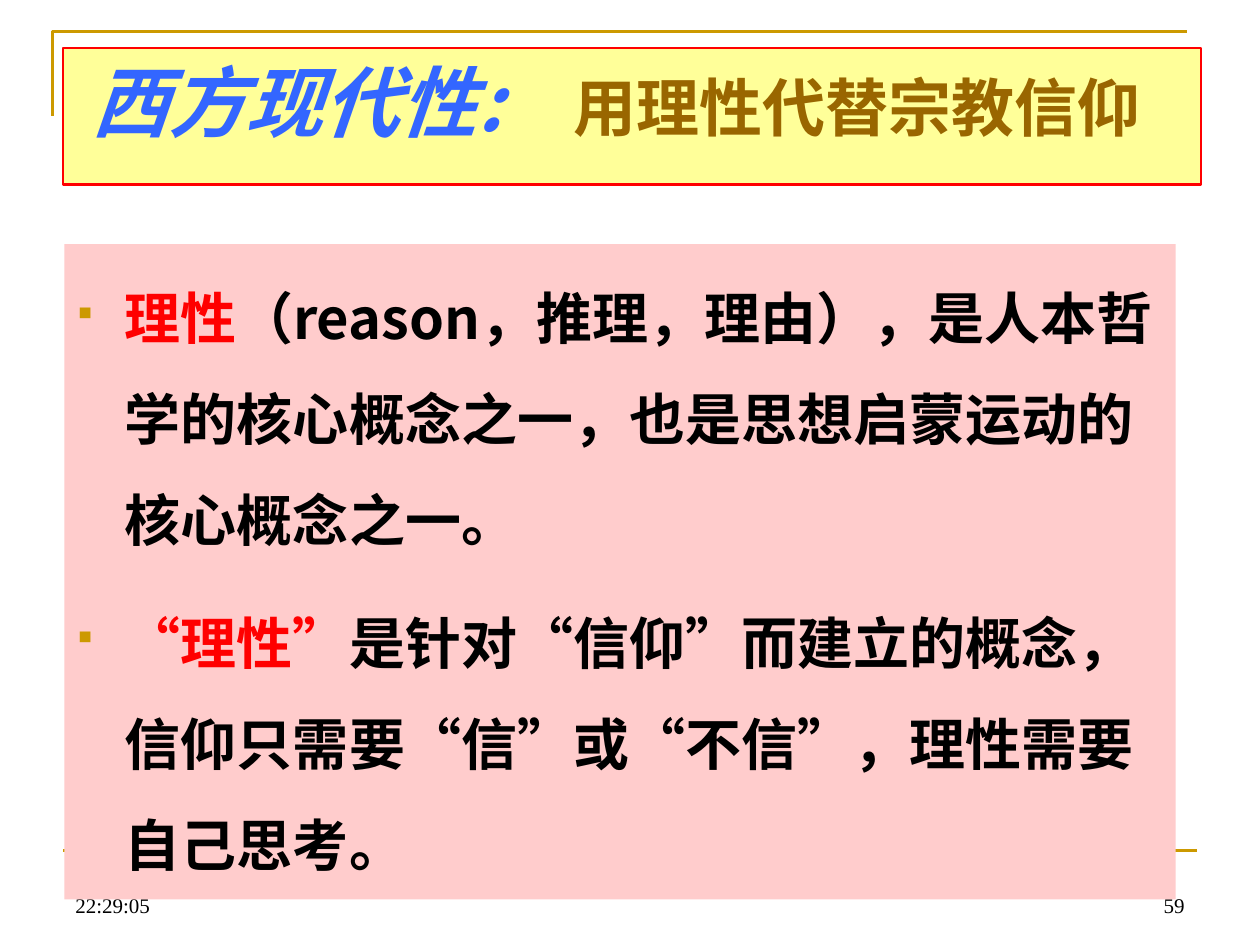
from dataclasses import dataclass
from typing import Optional

from lxml import etree
from pptx import Presentation
from pptx.dml.color import RGBColor
from pptx.enum import shapes, text
from pptx.oxml import ns
from pptx.util import Cm, Pt


@dataclass(frozen=True)
class Theme:
    gold: str = "CC9900"
    brown: str = "996600"
    blue: str = "3366FF"
    red: str = "FF0000"
    black: str = "000000"
    yellow: str = "FFFF99"
    pink: str = "FFCCCC"
    sans: str = "Noto Sans CJK SC"
    serif: str = "Times New Roman"
    symbols: str = "Wingdings"
    title: int = 44
    subtitle: int = 36
    body: int = 32
    footer: int = 12
    rule: float = 1.5


@dataclass(frozen=True)
class Box:
    left: float
    top: float
    width: float
    height: float

    def lengths(self) -> tuple:
        return Cm(self.left), Cm(self.top), Cm(self.width), Cm(self.height)


@dataclass(frozen=True)
class Span:
    words: str
    color: str
    size: int
    bold: bool = True
    italic: bool = False
    font: str = Theme.sans


T = Theme()
TITLE_BOX = Box(1.27, 0.97, 22.94, 2.75)
BODY_BOX = Box(1.3, 4.92, 22.4, 13.21)
BULLET_INDENT = 0.97
FOOTER_TOP, FOOTER_WIDTH, FOOTER_HEIGHT = 17.35, 5.92, 1.27

TITLE = [
    Span("西方现代性:\t", T.blue, T.title, italic=True),
    Span("用理性代替宗教信仰", T.brown, T.subtitle),
]
POINTS = [
    [Span("理性", T.red, T.body),
     Span("（reason，推理，理由），是人本哲学的核心概念之一，"
          "也是思想启蒙运动的核心概念之一。", T.black, T.body)],
    [Span("“理性”", T.red, T.body),
     Span("是针对“信仰”而建立的概念，信仰只需要“信”或“不信”，"
          "理性需要自己思考。", T.black, T.body)],
]


def rgb(color: str) -> RGBColor:
    return RGBColor.from_string(color)


def add_child(parent, tag: str, **attrs: str):
    return etree.SubElement(parent, ns.qn(tag), attrs)


def write(p, spans: list[Span]) -> None:
    for span in spans:
        r = p.add_run()
        r.text = span.words
        f = r.font
        f.size, f.bold, f.italic = Pt(span.size), span.bold, span.italic
        f.color.rgb = rgb(span.color)
        f.name = span.font
        rpr = r._r.get_or_add_rPr()
        rpr.set("lang", "zh-CN")
        add_child(rpr, "a:ea", typeface=span.font)


def add_panel(slide, box: Box, fill: str, line: Optional[str] = None):
    sp = slide.shapes.add_shape(shapes.MSO_SHAPE.RECTANGLE, *box.lengths())
    sp.shadow.inherit = False
    sp.fill.solid()
    sp.fill.fore_color.rgb = rgb(fill)
    if line:
        sp.line.color.rgb = rgb(line)
        sp.line.width = Pt(T.rule)
    else:
        sp.line.fill.background()
    tf = sp.text_frame
    tf.word_wrap = True
    tf.vertical_anchor = text.MSO_ANCHOR.TOP
    return tf


def add_frame(slide) -> None:
    """Draw the gold corner and the rule above the footer."""
    fb = slide.shapes.build_freeform(Cm(1.06), Cm(2.33))
    fb.add_line_segments([(Cm(1.06), Cm(0.64)), (Cm(23.92), Cm(0.64))], close=False)
    corner = fb.convert_to_shape()
    corner.shadow.inherit = False
    corner.fill.background()
    rule = slide.shapes.add_connector(
        shapes.MSO_CONNECTOR.STRAIGHT, Cm(1.27), Cm(17.15), Cm(24.13), Cm(17.15))
    for sp in (corner, rule):
        sp.line.color.rgb = rgb(T.gold)
        sp.line.width = Pt(T.rule)
    add_child(rule._element.spPr, "a:effectLst")


def add_footer(slide, left: float, words: str, align) -> None:
    box = Box(left, FOOTER_TOP, FOOTER_WIDTH, FOOTER_HEIGHT)
    tf = slide.shapes.add_textbox(*box.lengths()).text_frame
    tf.word_wrap = True
    tf.vertical_anchor = text.MSO_ANCHOR.BOTTOM
    p = tf.paragraphs[0]
    p.alignment = align
    write(p, [Span(words, T.black, T.footer, bold=False, font=T.serif)])


def add_title(slide) -> None:
    tf = add_panel(slide, TITLE_BOX, T.yellow, T.red)
    tf.margin_left = Cm(0.58)
    p = tf.paragraphs[0]
    p.alignment = text.PP_ALIGN.LEFT
    tabs = add_child(p._p.get_or_add_pPr(), "a:tabLst")
    add_child(tabs, "a:tab", pos=str(Cm(9.72)), algn="l")
    write(p, TITLE)


def add_bullet(p) -> None:
    ppr = p._p.get_or_add_pPr()
    ppr.set("marL", str(Cm(BULLET_INDENT)))
    ppr.set("indent", str(-Cm(BULLET_INDENT)))
    add_child(add_child(ppr, "a:buClr"), "a:srgbClr", val=T.gold)
    add_child(ppr, "a:buSzPct", val="65000")
    add_child(ppr, "a:buFont", typeface=T.symbols, charset="2")
    add_child(ppr, "a:buChar", char="§")


def add_body(slide) -> None:
    tf = add_panel(slide, BODY_BOX, T.pink)
    for i, spans in enumerate(POINTS):
        p = tf.add_paragraph() if i else tf.paragraphs[0]
        p.alignment = text.PP_ALIGN.LEFT
        p.line_spacing = 1.5
        if i:
            p.space_before = Pt(0.4 * T.body)
        add_bullet(p)
        write(p, spans)


def main() -> None:
    prs = Presentation()
    prs.slide_width, prs.slide_height = Cm(25.4), Cm(19.05)
    slide = prs.slides.add_slide(prs.slide_layouts[6])
    add_frame(slide)
    add_footer(slide, 1.27, "22:29:05", text.PP_ALIGN.LEFT)
    add_footer(slide, 18.21, "59", text.PP_ALIGN.RIGHT)
    add_title(slide)
    add_body(slide)
    prs.save("out.pptx")


if __name__ == "__main__":
    main()
